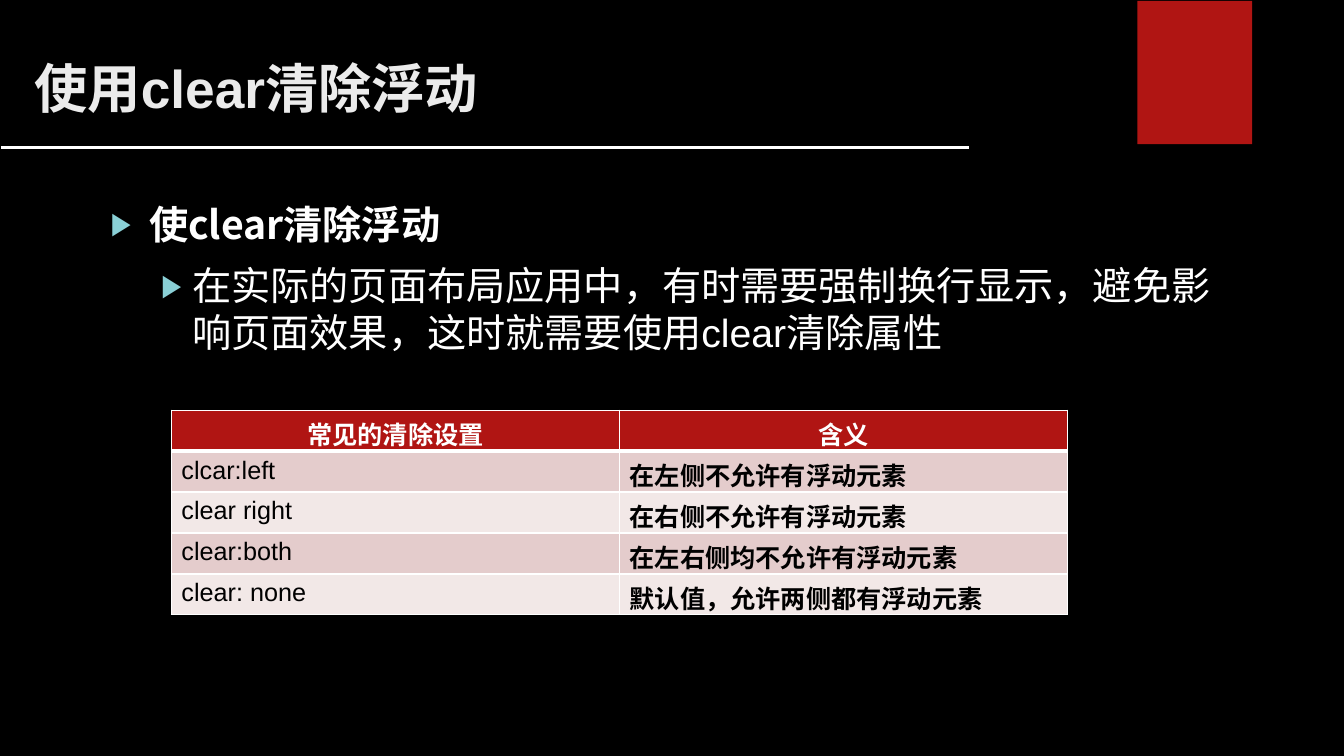
"""Build the slide on clearing floats with the CSS clear property."""
from dataclasses import dataclass

import lxml.etree
import pptx
import pptx.dml.color
import pptx.enum.shapes
import pptx.enum.text
import pptx.oxml.ns
import pptx.util

Inches = pptx.util.Inches
Pt = pptx.util.Pt
qn = pptx.oxml.ns.qn

COLORS = {
    "background": "000000",
    "accent": "B01513",
    "rule": "FFFFFF",
    "title": "EBEBEB",
    "body": "FFFFFF",
    "bullet": "8AD0D6",
    "cell": "000000",
    "odd_row": "E4CCCC",
    "even_row": "F2E8E7",
}
CJK = "Noto Sans CJK SC"
LATIN = "Arial"


@dataclass(frozen=True)
class Point:
    """A bulleted paragraph."""

    text: str
    font: str
    bold: bool
    level: int
    indent: float
    hanging: float
    space_before: int


POINTS = [
    Point("使clear清除浮动", CJK, True, 0, 0.38, 0.38, 0),
    Point(
        "在实际的页面布局应用中，有时需要强制换行显示，避免影响页面效果，"
        "这时就需要使用clear清除属性",
        LATIN, False, 1, 0.81, 0.31, 10,
    ),
]
TITLE_RUNS = [("使用", CJK), ("clear清", LATIN), ("除浮动", CJK)]
CLEAR_SETTINGS = [
    ("常见的清除设置", "含义"),
    ("clcar:left", "在左侧不允许有浮动元素"),
    ("clear right", "在右侧不允许有浮动元素"),
    ("clear:both", "在左右侧均不允许有浮动元素"),
    ("clear: none", "默认值，允许两侧都有浮动元素"),
]


def rgb(name: str) -> pptx.dml.color.RGBColor:
    """Return a named colour."""
    return pptx.dml.color.RGBColor.from_string(COLORS[name])


def add_run(paragraph, text: str, font: str, size: float, color: str, bold: bool) -> None:
    """Add a run in one font for both Latin and East Asian letters."""
    run = paragraph.add_run()
    run.text = text
    run.font.name = font
    run.font.size = Pt(size)
    run.font.bold = bold
    run.font.color.rgb = rgb(color)
    latin = run.font._element.find(qn("a:latin"))
    east_asian = lxml.etree.Element(qn("a:ea"), typeface=font)
    latin.addnext(east_asian)


def add_bullet(paragraph, point: Point) -> None:
    """Give a paragraph its triangle bullet and hanging indent."""
    properties = paragraph._p.get_or_add_pPr()
    properties.set("marL", str(Inches(point.indent)))
    properties.set("indent", str(-Inches(point.hanging)))
    color = lxml.etree.SubElement(properties, qn("a:buClr"))
    lxml.etree.SubElement(color, qn("a:srgbClr"), val=COLORS["bullet"])
    lxml.etree.SubElement(properties, qn("a:buSzPct"), val="80000")
    lxml.etree.SubElement(properties, qn("a:buFont"), typeface=LATIN)
    lxml.etree.SubElement(properties, qn("a:buChar"), char="▶")


def add_borders(cell, top: float, bottom: float) -> None:
    """Draw white cell borders with the given top and bottom widths."""
    properties = cell._tc.get_or_add_tcPr()
    for side, width in (("L", 1), ("R", 1), ("T", top), ("B", bottom)):
        line = lxml.etree.SubElement(properties, qn(f"a:ln{side}"), w=str(Pt(width)))
        fill = lxml.etree.SubElement(line, qn("a:solidFill"))
        lxml.etree.SubElement(fill, qn("a:srgbClr"), val=COLORS["rule"])


def add_decoration(slide) -> None:
    """Add the corner block and the rule under the title."""
    block = slide.shapes.add_shape(
        pptx.enum.shapes.MSO_SHAPE.RECTANGLE,
        Inches(11.28), Inches(0.01), Inches(1.14), Inches(1.42),
    )
    block.shadow.inherit = False
    block.fill.solid()
    block.fill.fore_color.rgb = rgb("accent")
    block.line.fill.background()
    rule = slide.shapes.add_connector(
        pptx.enum.shapes.MSO_CONNECTOR.STRAIGHT,
        Inches(0.01), Inches(1.46), Inches(9.61), Inches(1.46),
    )
    rule.line.color.rgb = rgb("rule")
    rule.line.width = Pt(2.25)
    lxml.etree.SubElement(rule._element.spPr, qn("a:effectLst"))


def fill_title(slide) -> None:
    """Place and write the title."""
    title = slide.shapes.title
    title.left, title.top = Inches(0.24), Inches(0.5)
    title.width, title.height = Inches(10.83), Inches(1.21)
    frame = title.text_frame
    frame.auto_size = pptx.enum.text.MSO_AUTO_SIZE.NONE
    frame.vertical_anchor = pptx.enum.text.MSO_ANCHOR.TOP
    heading = frame.paragraphs[0]
    heading.alignment = pptx.enum.text.PP_ALIGN.LEFT
    for text, font in TITLE_RUNS:
        add_run(heading, text, font, 38, "title", True)


def add_points(slide) -> None:
    """Add the bulleted explanation."""
    body = slide.shapes.add_textbox(Inches(1), Inches(1.94), Inches(11.43), Inches(4.55))
    frame = body.text_frame
    frame.word_wrap = True
    for index, point in enumerate(POINTS):
        paragraph = frame.add_paragraph() if index else frame.paragraphs[0]
        paragraph.level = point.level
        add_bullet(paragraph, point)
        paragraph.space_before = Pt(point.space_before)
        add_run(paragraph, point.text, point.font, 28, "body", point.bold)


def add_settings_table(slide) -> None:
    """Add the table of clear values and their meanings."""
    table = slide.shapes.add_table(
        len(CLEAR_SETTINGS), 2, Inches(1.7), Inches(4.07), Inches(8.89), Inches(2.03)
    ).table
    for row, texts in enumerate(CLEAR_SETTINGS):
        header = row == 0
        band = "accent" if header else "odd_row" if row % 2 else "even_row"
        for column, text in enumerate(texts):
            cell = table.cell(row, column)
            add_borders(cell, 3 if row == 1 else 1, 3 if header else 1)
            cell.fill.solid()
            cell.fill.fore_color.rgb = rgb(band)
            paragraph = cell.text_frame.paragraphs[0]
            if header:
                paragraph.alignment = pptx.enum.text.PP_ALIGN.CENTER
            strong = header or column == 1
            add_run(paragraph, text, CJK if strong else LATIN, 18,
                    "body" if header else "cell", strong)


def main() -> None:
    """Build and save the presentation."""
    deck = pptx.Presentation()
    deck.slide_width, deck.slide_height = Inches(13.33), Inches(7.5)
    slide = deck.slides.add_slide(deck.slide_layouts[5])
    slide.background.fill.solid()
    slide.background.fill.fore_color.rgb = rgb("background")
    add_decoration(slide)
    fill_title(slide)
    add_points(slide)
    add_settings_table(slide)
    deck.save("out.pptx")


if __name__ == "__main__":
    main()
